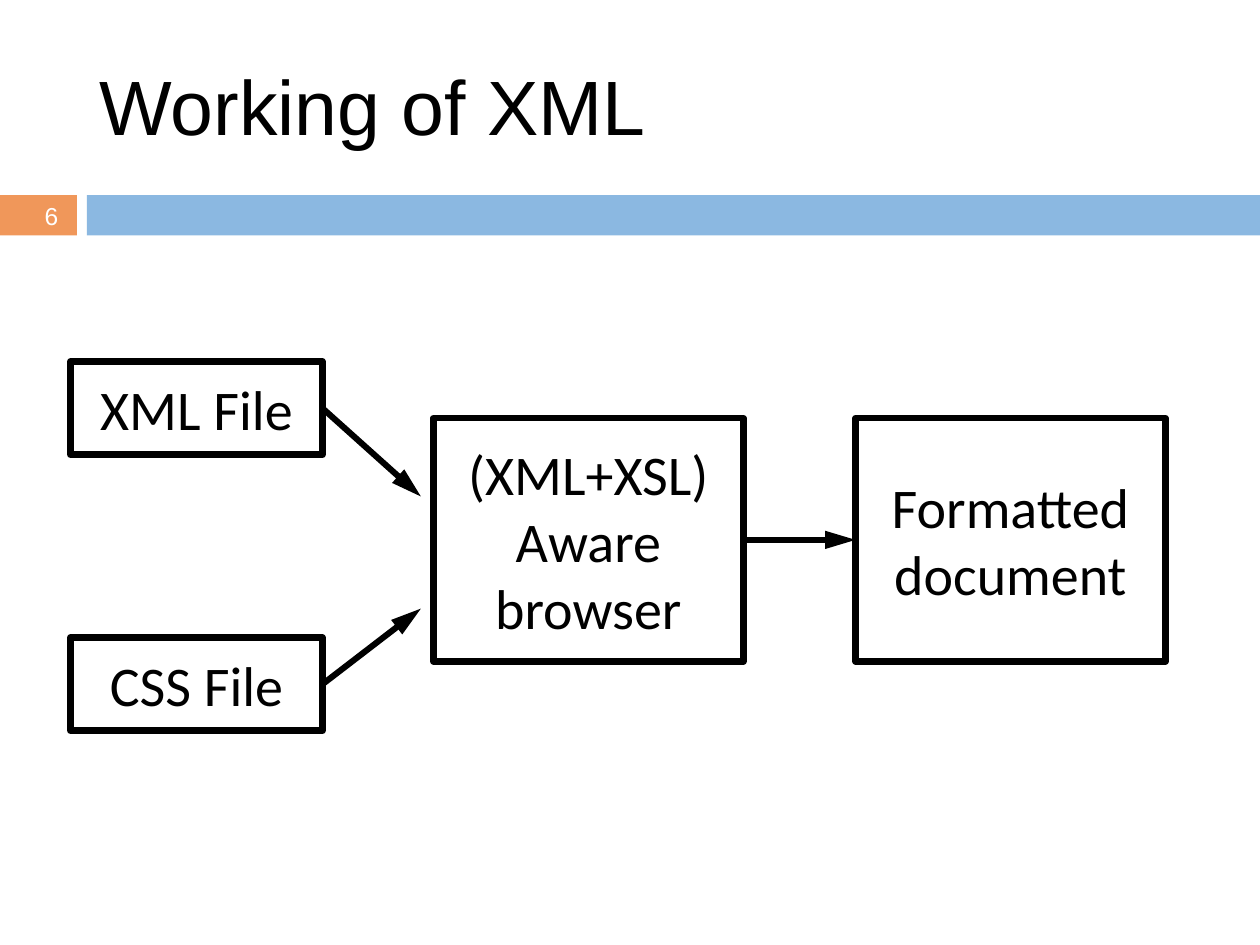
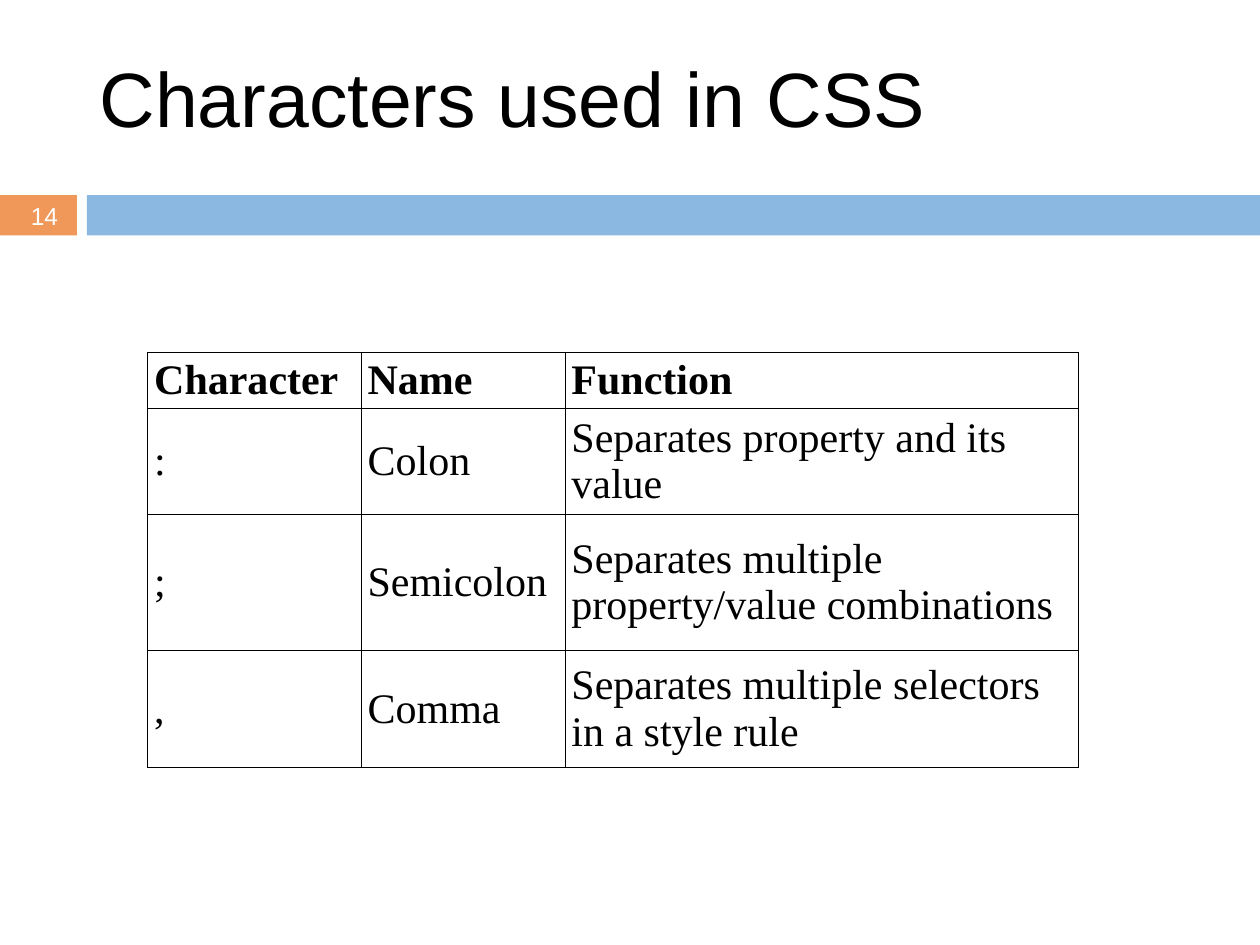
from lxml import etree
from pptx import Presentation
from pptx.dml.color import RGBColor
from pptx.enum.shapes import MSO_CONNECTOR, MSO_SHAPE
from pptx.enum.text import MSO_ANCHOR, MSO_AUTO_SIZE, PP_ALIGN
from pptx.oxml.ns import qn
from pptx.util import Pt

BLACK = RGBColor(0x00, 0x00, 0x00)
WHITE = RGBColor(0xFF, 0xFF, 0xFF)
BLUE = RGBColor(0x5B, 0x9B, 0xD5)
ORANGE = RGBColor(0xED, 0x7D, 0x31)
RECT = MSO_SHAPE.RECTANGLE
LINE = MSO_CONNECTOR.STRAIGHT
MIDDLE = MSO_ANCHOR.MIDDLE
FIXED = MSO_AUTO_SIZE.NONE
LEFT, CENTER, RIGHT = PP_ALIGN.LEFT, PP_ALIGN.CENTER, PP_ALIGN.RIGHT
SANS, BODY, SERIF = "Arial", "Calibri", "Times New Roman"

WIDE, HIGH = 720, 540
EDGE = 49.7
BAND_TOP, BAND_HIGH = 111.5, 23

ROWS = [
    ("Character", "Name", "Function"),
    (":", "Colon", "Separates property and its value"),
    (";", "Semicolon", "Separates multiple\nproperty/value combinations"),
    (",", "Comma", "Separates multiple selectors in a style rule"),
]


def add_run(para, text, face, size, color=BLACK, bold=False):
    run = para.add_run()
    run.text = text
    font = run.font
    font.name, font.size, font.bold = face, Pt(size), bold
    font.color.rgb = color


def add_rect(slide, left, top, width, height):
    shape = slide.shapes.add_shape(
        RECT, Pt(left), Pt(top), Pt(width), Pt(height))
    shape.shadow.inherit = False
    return shape


def add_band(slide, left, width, color, alpha):
    band = add_rect(slide, left, BAND_TOP, width, BAND_HIGH)
    band.fill.solid()
    band.fill.fore_color.rgb = color
    band.line.fill.background()
    tint = band.fill._xPr.find(".//" + qn("a:srgbClr"))
    etree.SubElement(tint, qn("a:alpha"), val=str(alpha * 1000))


def add_title(slide, text, top):
    title = slide.shapes.title
    title.left, title.top = Pt(EDGE), Pt(top)
    title.width, title.height = Pt(620.6), Pt(68.4)
    frame = title.text_frame
    frame.auto_size, frame.word_wrap = FIXED, True
    frame.vertical_anchor = MIDDLE
    para = frame.paragraphs[0]
    para.alignment, para.line_spacing = LEFT, 0.9
    add_run(para, text, SANS, 44)


def add_number(slide, number):
    box = slide.shapes.add_textbox(Pt(3.6), Pt(108.7), Pt(36.7), Pt(28.8))
    frame = box.text_frame
    frame.word_wrap, frame.vertical_anchor = True, MIDDLE
    para = frame.paragraphs[0]
    para.alignment = RIGHT
    add_run(para, str(number), SANS, 14, WHITE)


def add_slide(deck, title, top, number):
    slide = deck.slides.add_slide(deck.slide_layouts[5])
    add_band(slide, EDGE, WIDE - EDGE, BLUE, 70)
    add_band(slide, 0, 43.9, ORANGE, 80)
    add_title(slide, title, top)
    add_number(slide, number)
    return slide


def add_box(slide, left, top, width, height, lines):
    box = add_rect(slide, left, top, width, height)
    box.fill.background()
    box.line.color.rgb = BLACK
    box.line.width = Pt(3.75)
    frame = box.text_frame
    frame.word_wrap, frame.vertical_anchor = True, MIDDLE
    for index, text in enumerate(lines):
        para = frame.add_paragraph() if index else frame.paragraphs[0]
        para.alignment = CENTER
        add_run(para, text, BODY, 32)


def add_arrow(slide, start, end):
    arrow = slide.shapes.add_connector(LINE, *map(Pt, start + end))
    arrow.line.color.rgb = BLACK
    arrow.line.width = Pt(3.5)
    etree.SubElement(arrow.line._get_or_add_ln(), qn("a:tailEnd"),
                     type="triangle", w="med", len="lg")
    etree.SubElement(arrow._element.spPr, qn("a:effectLst"))


def add_border(cell):
    props = cell._tc.get_or_add_tcPr()
    for index, side in enumerate(("a:lnL", "a:lnR", "a:lnT", "a:lnB")):
        edge = etree.Element(qn(side), w=str(Pt(0.5)))
        fill = etree.SubElement(edge, qn("a:solidFill"))
        etree.SubElement(fill, qn("a:srgbClr"), val=str(BLACK))
        props.insert(index, edge)


def fill_cell(cell, text, bold):
    cell.fill.background()
    cell.vertical_anchor = MIDDLE
    cell.margin_left = cell.margin_right = Pt(3.6)
    cell.margin_top = cell.margin_bottom = Pt(1.44)
    para = cell.text_frame.paragraphs[0]
    for index, line in enumerate(text.split("\n")):
        if index:
            para.add_line_break()
        add_run(para, line, SERIF, 24, bold=bold)
    add_border(cell)


def add_grid(slide, left, top, widths, heights, rows):
    frame = slide.shapes.add_table(
        len(rows), len(widths), Pt(left), Pt(top),
        Pt(sum(widths)), Pt(sum(heights)))
    table = frame.table
    for col, width in zip(table.columns, widths):
        col.width = Pt(width)
    for row, height in zip(table.rows, heights):
        row.height = Pt(height)
    for r, texts in enumerate(rows):
        for c, text in enumerate(texts):
            fill_cell(table.cell(r, c), text, r == 0)


def draw_flow(slide):
    for top, text in ((206.6, "XML File"), (364.3, "CSS File")):
        add_box(slide, 40.3, top, 144, 53.3, [text])
    for left, lines in ((247.7, ["(XML+XSL)", "Aware browser"]),
                        (488.9, ["Formatted document"])):
        add_box(slide, left, 239, 177.1, 139, lines)
    add_arrow(slide, (184.3, 391), (240.5, 347.8))
    add_arrow(slide, (184.3, 233.3), (240.5, 283.7))
    add_arrow(slide, (424.8, 308.5), (488.9, 308.5))


def main():
    deck = Presentation()
    deck.slide_width, deck.slide_height = Pt(WIDE), Pt(HIGH)
    draw_flow(add_slide(deck, "Working of XML", 28.8, 6))
    slide = add_slide(deck, "Characters used in CSS", 24.5, 14)
    add_grid(slide, 84.5, 201.6, (122, 116.5, 293),
             (30.4, 56.5, 77.8, 67.2), ROWS)
    deck.save("out.pptx")


main()
